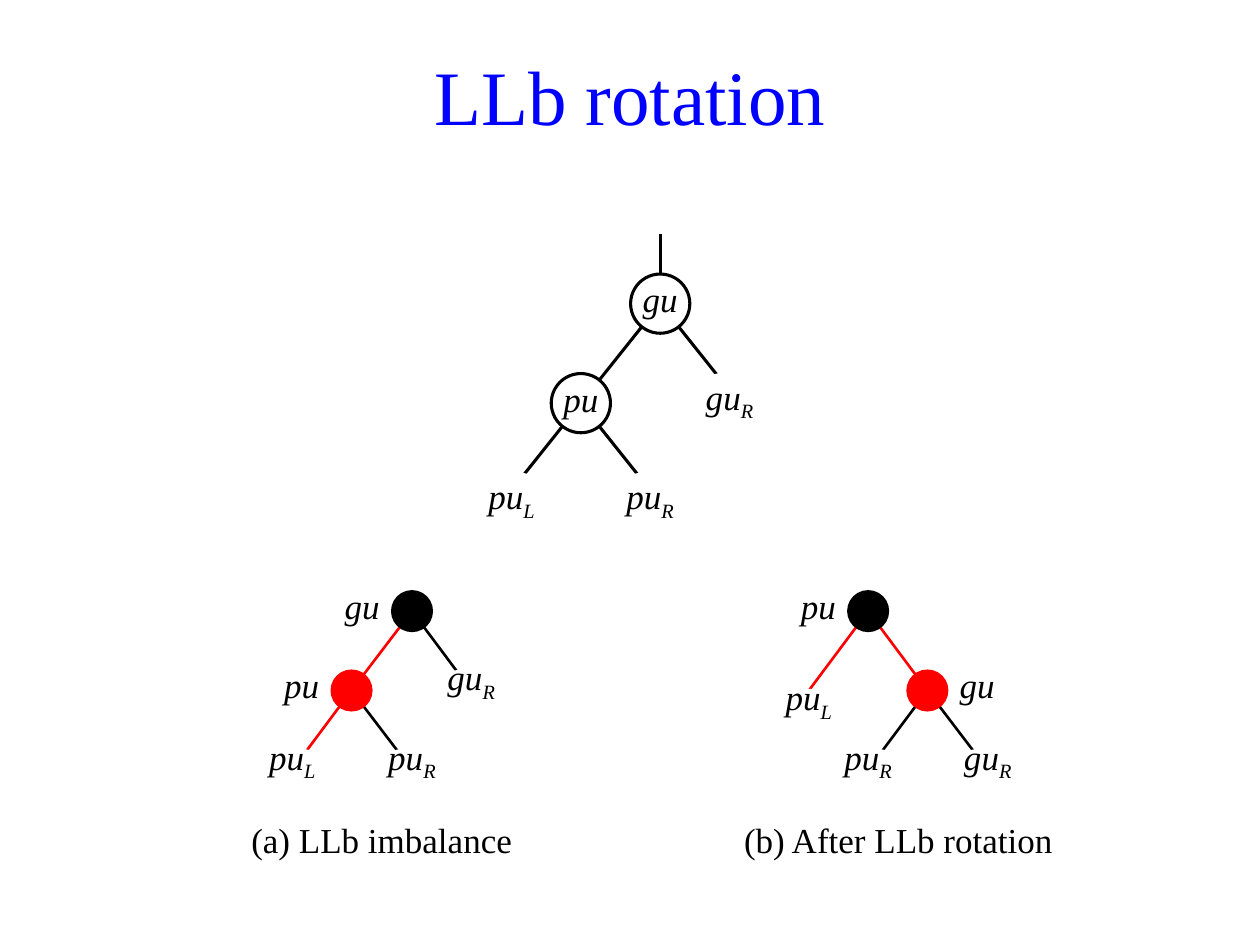
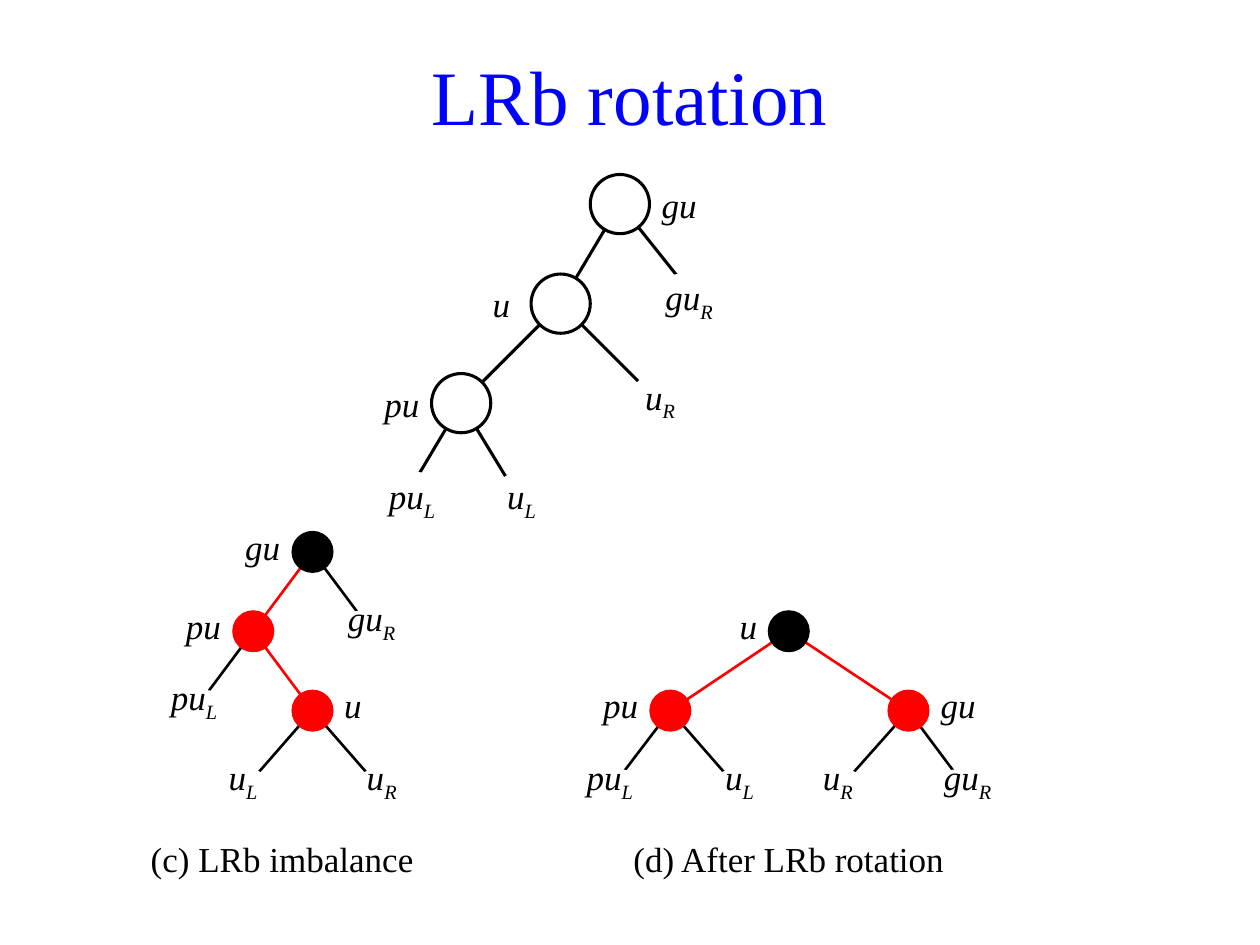
from dataclasses import dataclass

from lxml.etree import SubElement
from pptx import Presentation
from pptx.dml.color import RGBColor
from pptx.enum.shapes import MSO_CONNECTOR, MSO_SHAPE
from pptx.enum.text import MSO_ANCHOR, PP_ALIGN
from pptx.oxml.ns import qn
from pptx.util import Inches, Pt

COLORS = {"black": "000000", "red": "FF0000", "white": "FFFFFF", "title": "0000FF"}
FONT = "Times New Roman"
TITLE_BOX = (0.43, 0.28, 9.14, 0.94)
SUBTREE_WIDTHS = {1: 0.47, 2: 0.63}


@dataclass
class TreeStyle:
    diameter: float
    edge_width: float
    node_line: float
    label_anchor: MSO_ANCHOR
    label_insets: tuple
    label_widths: dict
    subtree_shift: float  # moves a two-letter subtree towards its parent


LARGE = TreeStyle(0.47, 1.75, 1.75, MSO_ANCHOR.MIDDLE, (0.08, 0.05, 0.08, 0.05),
                  {1: 0.47, 2: 0.47}, 0.08)
SMALL = TreeStyle(0.32, 1.5, 1, MSO_ANCHOR.BOTTOM, (0.08, 0, 0.08, 0.04),
                  {1: 0.32, 2: 0.47}, 0)


@dataclass
class Subtree:
    name: str
    side: str
    x: float
    y: float
    edge: str = "black"
    drop: float = 0


@dataclass
class Node:
    """A tree node; label is "left", "right" or "inside"."""
    name: str
    x: float
    y: float
    fill: str
    label: str
    children: tuple
    edge: str = "black"


def rgb(color):
    return RGBColor.from_string(COLORS[color])


def write(shape, parts, size=20, color="black", italic=False,
          anchor=MSO_ANCHOR.MIDDLE, insets=(0.1, 0.05, 0.1, 0.05)):
    """Write one centred line; a second part becomes a subscript."""
    frame = shape.text_frame
    left, top, right, bottom = (Inches(inset) for inset in insets)
    frame_format = {"word_wrap": True, "vertical_anchor": anchor,
                    "margin_left": left, "margin_top": top,
                    "margin_right": right, "margin_bottom": bottom}
    for name, value in frame_format.items():
        setattr(frame, name, value)
    para = frame.paragraphs[0]
    para.alignment = PP_ALIGN.CENTER
    for index, part in enumerate(parts):
        span = para.add_run()
        span.text = part
        font_format = {"name": FONT, "size": Pt(size), "italic": italic, "bold": False}
        for name, value in font_format.items():
            setattr(span.font, name, value)
        span.font.color.rgb = rgb(color)
        if index:
            span._r.get_or_add_rPr().set("baseline", "-25000")


def add_title(page, text):
    title = page.shapes.title
    title.left, title.top, title.width, title.height = map(Inches, TITLE_BOX)
    write(title, [text], size=44, color="title")


def add_text(page, box, text, **text_format):
    write(page.shapes.add_textbox(*map(Inches, box)), [text], **text_format)


def add_line(page, start, end, color, width):
    line = page.shapes.add_connector(
        MSO_CONNECTOR.STRAIGHT, *map(Inches, (*start, *end)))
    line.line.color.rgb = rgb(color)
    line.line.width = Pt(width)
    SubElement(line._element.spPr, qn("a:effectLst"))
    return line


def add_ellipse(page, x, y, width, height, fill, line, line_width):
    """Add an ellipse centred on (x, y)."""
    ellipse = page.shapes.add_shape(
        MSO_SHAPE.OVAL, Inches(x - width / 2), Inches(y - height / 2),
        Inches(width), Inches(height))
    ellipse.shadow.inherit = False
    ellipse.fill.solid()
    ellipse.fill.fore_color.rgb = rgb(fill)
    ellipse.line.color.rgb = rgb(line)
    ellipse.line.width = Pt(line_width)
    return ellipse


def add_subtree(page, subtree, parent_x, style):
    shift = style.subtree_shift if len(subtree.name) == 2 else 0
    x = subtree.x + (shift if subtree.x < parent_x else -shift)
    ellipse = add_ellipse(page, x, subtree.y + subtree.drop,
                          SUBTREE_WIDTHS[len(subtree.name)], style.diameter,
                          "white", "white", 1.75)
    write(ellipse, [subtree.name, subtree.side], italic=True,
          anchor=MSO_ANCHOR.BOTTOM, insets=(0, 0, 0, 0.01))


def add_node(page, node, style):
    size = style.diameter
    line = "black" if node.fill == "white" else node.fill
    circle = add_ellipse(page, node.x, node.y, size, size,
                         node.fill, line, style.node_line)
    if node.label == "inside":
        write(circle, [node.name], italic=True,
              anchor=MSO_ANCHOR.BOTTOM, insets=(0, 0, 0, 0.04))
        return circle
    width = style.label_widths[len(node.name)]
    left = node.x + size / 2 if node.label == "right" else node.x - size / 2 - width
    add_text(page, (left, node.y - size / 2, width, size), node.name, italic=True,
             anchor=style.label_anchor, insets=style.label_insets)
    return circle


def add_tree(page, node, style):
    """Draw edges and children first, so that the node covers the edge ends."""
    for child in node.children:
        add_line(page, (node.x, node.y), (child.x, child.y),
                 child.edge, style.edge_width)
        if isinstance(child, Node):
            add_tree(page, child, style)
        else:
            add_subtree(page, child, node.x, style)
    return add_node(page, node, style)


def add_page(deck, title):
    page = deck.slides.add_slide(deck.slide_layouts[5])
    page.background.fill.solid()
    page.background.fill.fore_color.rgb = rgb("white")
    add_title(page, title)
    return page


def add_left_left_page(deck):
    page = add_page(deck, "LLb rotation")
    root = add_tree(page, Node("gu", 5.24, 2.41, "white", "inside", (
        Node("pu", 4.61, 3.2, "white", "inside", (
            Subtree("pu", "L", 3.98, 3.99),
            Subtree("pu", "R", 5.24, 3.99))),
        Subtree("gu", "R", 5.87, 3.2))), LARGE)
    stem = add_line(page, (5.24, 1.86), (5.24, 2.17), "black", LARGE.edge_width)
    stem.end_connect(root, 0)

    add_tree(page, Node("gu", 3.27, 4.85, "black", "left", (
        Node("pu", 2.79, 5.48, "red", "left", (
            Subtree("pu", "L", 2.32, 6.11, "red"),
            Subtree("pu", "R", 3.27, 6.11)), "red"),
        Subtree("gu", "R", 3.74, 5.48))), SMALL)
    add_text(page, (1.85, 6.43, 2.36, 0.47), "(a) LLb imbalance")

    add_tree(page, Node("pu", 6.89, 4.85, "black", "left", (
        Subtree("pu", "L", 6.42, 5.48, "red", drop=0.16),
        Node("gu", 7.36, 5.48, "red", "right", (
            Subtree("pu", "R", 6.89, 6.11),
            Subtree("gu", "R", 7.84, 6.11)), "red"))), SMALL)
    add_text(page, (5.79, 6.43, 2.68, 0.47), "(b) After LLb rotation")


def add_left_right_page(deck):
    page = add_page(deck, "LRb rotation")
    add_tree(page, Node("gu", 4.92, 1.62, "white", "right", (
        Node("u", 4.45, 2.41, "white", "left", (
            Node("pu", 3.66, 3.2, "white", "left", (
                Subtree("pu", "L", 3.19, 3.99),
                Subtree("u", "L", 4.14, 3.99))),
            Subtree("u", "R", 5.24, 3.2))),
        Subtree("gu", "R", 5.55, 2.41))), LARGE)

    add_tree(page, Node("gu", 2.48, 4.38, "black", "left", (
        Node("pu", 2.01, 5.01, "red", "left", (
            Subtree("pu", "L", 1.54, 5.64),
            Node("u", 2.48, 5.64, "red", "right", (
                Subtree("u", "L", 1.93, 6.27),
                Subtree("u", "R", 3.03, 6.27)), "red")), "red"),
        Subtree("gu", "R", 2.95, 5.01))), SMALL)
    add_text(page, (1.06, 6.58, 2.36, 0.47), "(c) LRb imbalance")

    add_tree(page, Node("u", 6.26, 5.01, "black", "left", (
        Node("pu", 5.32, 5.64, "red", "left", (
            Subtree("pu", "L", 4.84, 6.27),
            Subtree("u", "L", 5.87, 6.27)), "red"),
        Node("gu", 7.21, 5.64, "red", "right", (
            Subtree("u", "R", 6.65, 6.27),
            Subtree("gu", "R", 7.68, 6.27)), "red"))), SMALL)
    add_text(page, (4.84, 6.58, 2.84, 0.47), "(d) After LRb rotation")


def main():
    deck = Presentation()
    deck.slide_width, deck.slide_height = Inches(10), Inches(7.5)
    add_left_left_page(deck)
    add_left_right_page(deck)
    deck.save("out.pptx")


if __name__ == "__main__":
    main()
